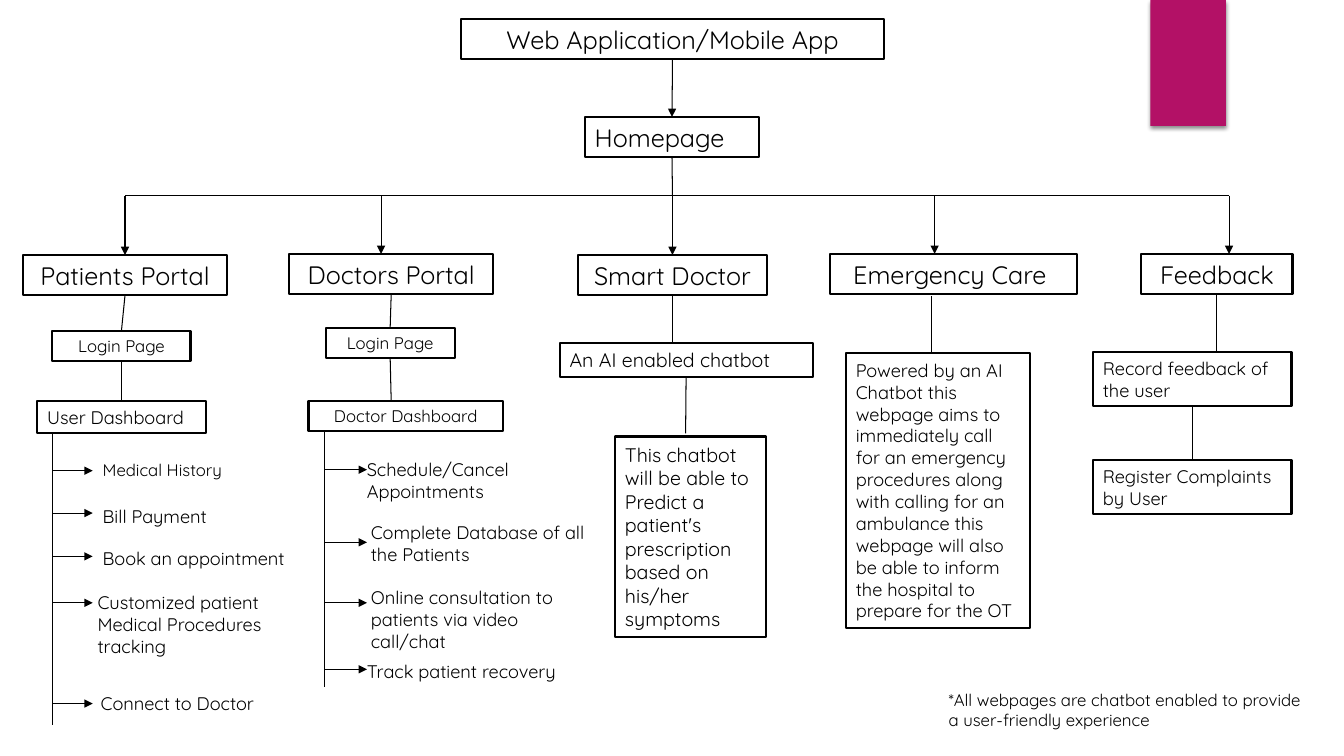
from lxml import etree
from pptx import Presentation
from pptx.dml.color import RGBColor
from pptx.enum.shapes import MSO_CONNECTOR, MSO_SHAPE
from pptx.enum.text import MSO_ANCHOR, MSO_AUTO_SIZE, PP_ALIGN
from pptx.oxml import parse_xml
from pptx.oxml.ns import nsdecls, qn
from pptx.util import Inches, Pt

RECT = MSO_SHAPE.RECTANGLE
STRAIGHT = MSO_CONNECTOR.STRAIGHT
LEFT, CENTER = PP_ALIGN.LEFT, PP_ALIGN.CENTER
MIDDLE = MSO_ANCHOR.MIDDLE
GROW = MSO_AUTO_SIZE.SHAPE_TO_FIT_TEXT
TOP, BOTTOM = 0, 2

FONT = "Quicksand"
BLACK, WHITE, MAGENTA = "000000", "FFFFFF", "B31166"
BUS_Y = 1.94

# text, left, top, width, x of the arrow that reaches the box
PORTALS = [
    ("Patients Portal", 0.23, 2.53, 2.02, 1.24),
    ("Doctors Portal", 2.87, 2.52, 2.02, 3.78),
    ("Smart Doctor", 5.73, 2.53, 1.88, 6.67),
    ("Emergency Care ", 8.23, 2.52, 2.45, 9.27),
    ("Feedback", 11.32, 2.52, 1.5, 12.19),
]

# text, left, top, width, height, size, wrap, y of the arrow
PATIENT_ITEMS = [
    ("Medical History", 0.92, 4.51, 1.44, 0.3, 12, False, 4.67),
    ("Bill Payment", 0.92, 4.96, 1.26, 0.32, 13, False, 5.09),
    ("Book an appointment", 0.92, 5.38, 2.14, 0.32, 13, False, 5.52),
    ("Customized patient\nMedical Procedures tracking",
     0.87, 5.82, 1.93, 0.98, 13, True, 5.98),
    ("Connect to Doctor", 0.9, 6.82, 1.88, 0.32, 13, False, 6.98),
]
DOCTOR_ITEMS = [
    ("Schedule/Cancel Appointments", 3.54, 4.5, 1.77, 0.54, 13, True, 4.66),
    ("Complete Database of all\nthe Patients",
     3.58, 5.12, 2.51, 0.54, 13, False, 5.38),
    ("Online consultation to patients via video call/chat",
     3.58, 5.77, 2.25, 0.76, 13, True, 5.98),
    ("Track patient recovery", 3.54, 6.5, 2.19, 0.32, 13, False, 6.64),
]

EMERGENCY_TEXT = (
    "Powered by an AI Chatbot this webpage aims to immediately call for an "
    "emergency procedures along with calling for an ambulance this webpage "
    "will also be able to inform the hospital to prepare for the OT")


def rgb(value):
    return RGBColor.from_string(value)


def write(shape, text, size=13, align=LEFT, wrap=True, color=BLACK):
    tf = shape.text_frame
    tf.word_wrap = wrap
    tf.auto_size = GROW
    tf.text = text
    for p in tf.paragraphs:
        p.alignment = align
        p.font.name = FONT
        p.font.size = Pt(size)
        p.font.color.rgb = rgb(color)


def box(s, text, left, top, width, height=0.4, **style):
    sp = s.shapes.add_shape(
        RECT, Inches(left), Inches(top), Inches(width), Inches(height))
    sp.shadow.inherit = False
    sp.fill.solid()
    sp.fill.fore_color.rgb = rgb(WHITE)
    sp.line.color.rgb = rgb(BLACK)
    sp.line.width = Pt(1.5)
    sp.text_frame.vertical_anchor = MIDDLE
    write(sp, text, **style)
    return sp


def label(s, text, left, top, width, height, **style):
    sp = s.shapes.add_textbox(
        Inches(left), Inches(top), Inches(width), Inches(height))
    write(sp, text, **style)


def link(s, start, end, above=None, below=None, arrow=False):
    """Draw a line, joined to the box above and the box below if given."""
    c = s.shapes.add_connector(STRAIGHT, *map(Inches, start + end))
    c.line.color.rgb = rgb(BLACK)
    c.line.width = Pt(0.75)
    if above is not None:
        c.begin_connect(above, BOTTOM)
    if below is not None:
        c.end_connect(below, TOP)
    if arrow:
        etree.SubElement(c.line._get_or_add_ln(), qn("a:tailEnd"), type="triangle")
    etree.SubElement(c._element.spPr, qn("a:effectLst"))


def item_list(s, x, top, bottom, arrow_end, items):
    """Draw a vertical stem with an arrow to each label."""
    link(s, (x, top), (x, bottom))
    for text, left, y, width, height, size, wrap, arrow_y in items:
        link(s, (x, arrow_y), (arrow_end, arrow_y), arrow=True)
        label(s, text, left, y, width, height, size=size, wrap=wrap)


def accent_block(s):
    sp = s.shapes.add_shape(
        RECT, Inches(11.41), Inches(0), Inches(0.75), Inches(1.25))
    sp.fill.solid()
    sp.fill.fore_color.rgb = rgb(MAGENTA)
    sp.line.fill.background()
    sp._element.spPr.append(parse_xml(
        f'<a:effectLst {nsdecls("a")}>'
        f'<a:outerShdw blurRad="{Pt(3)}" dist="{Pt(2)}" dir="5400000" rotWithShape="0">'
        f'<a:srgbClr val="{BLACK}"><a:alpha val="45000"/></a:srgbClr>'
        '</a:outerShdw></a:effectLst>'))


def top_levels(s):
    """Draw the app, the homepage and the portals; return the portal boxes."""
    app = box(s, "Web Application/Mobile App", 4.57, 0.19, 4.2,
              size=18, align=CENTER)
    home = box(s, "Homepage", 5.8, 1.16, 1.73, size=18)
    link(s, (6.67, 0.59), (6.67, 1.16), app, home, arrow=True)
    link(s, (6.67, 1.56), (6.67, BUS_Y), home)
    link(s, (PORTALS[0][-1], BUS_Y), (PORTALS[-1][-1], BUS_Y))
    portals = []
    for text, left, top, width, x in PORTALS:
        sp = box(s, text, left, top, width, size=18, align=CENTER)
        centered = abs(left + width / 2 - x) < 0.02
        link(s, (x, BUS_Y), (x, top), below=sp if centered else None, arrow=True)
        portals.append(sp)
    return portals


def patients_branch(s, portal):
    login = box(s, "Login Page", 0.52, 3.28, 1.37, 0.3, size=12, align=CENTER)
    board = box(s, "User Dashboard", 0.37, 3.98, 1.67, 0.32)
    link(s, (1.24, 2.93), (1.2, 3.28), portal, login)
    link(s, (1.2, 3.58), (1.2, 3.98), login, board)
    item_list(s, 0.52, 4.3, 7.19, 0.92, PATIENT_ITEMS)


def doctors_branch(s, portal):
    login = box(s, "Login Page", 3.23, 3.25, 1.28, 0.3, size=12, align=CENTER)
    box(s, "Doctor Dashboard", 3.06, 3.98, 1.93, 0.3, size=12, align=CENTER)
    link(s, (3.88, 2.92), (3.88, 3.25), portal, login)
    link(s, (3.88, 3.55), (3.88, 3.98), login)
    item_list(s, 3.22, 4.29, 6.82, 3.64, DOCTOR_ITEMS)


def smart_doctor_branch(s, portal):
    chatbot = box(s, "An AI enabled chatbot", 5.55, 3.4, 2.51, 0.34, size=14)
    box(s, "This chatbot will be able to Predict a patient's prescription "
        "based on his/her symptoms", 6.1, 4.33, 1.5, 1.99, size=14)
    link(s, (6.67, 2.93), (6.67, 3.4), portal)
    link(s, (6.8, 3.74), (6.8, 4.3), chatbot)


def emergency_branch(s):
    box(s, EMERGENCY_TEXT, 8.39, 3.5, 1.83, 2.73)
    link(s, (9.24, 2.94), (9.24, 3.5))


def feedback_branch(s, portal):
    record = box(s, "Record feedback of the user", 10.84, 3.49, 1.97, 0.54)
    register = box(s, "Register Complaints by User", 10.84, 4.56, 1.97, 0.54)
    link(s, (12.07, 2.92), (12.07, 3.49), portal)
    link(s, (11.83, 4.03), (11.83, 4.56), record, register)


def main():
    prs = Presentation()
    prs.slide_width, prs.slide_height = Inches(13.33), Inches(7.5)
    s = prs.slides.add_slide(prs.slide_layouts[6])
    accent_block(s)
    patients, doctors, smart_doctor, _, feedback = top_levels(s)
    patients_branch(s, patients)
    doctors_branch(s, doctors)
    smart_doctor_branch(s, smart_doctor)
    emergency_branch(s)
    feedback_branch(s, feedback)
    label(s, "*All webpages are chatbot enabled to provide a user-friendly "
          "experience", 9.31, 6.79, 3.71, 0.5, size=12)
    prs.save("out.pptx")


if __name__ == "__main__":
    main()
